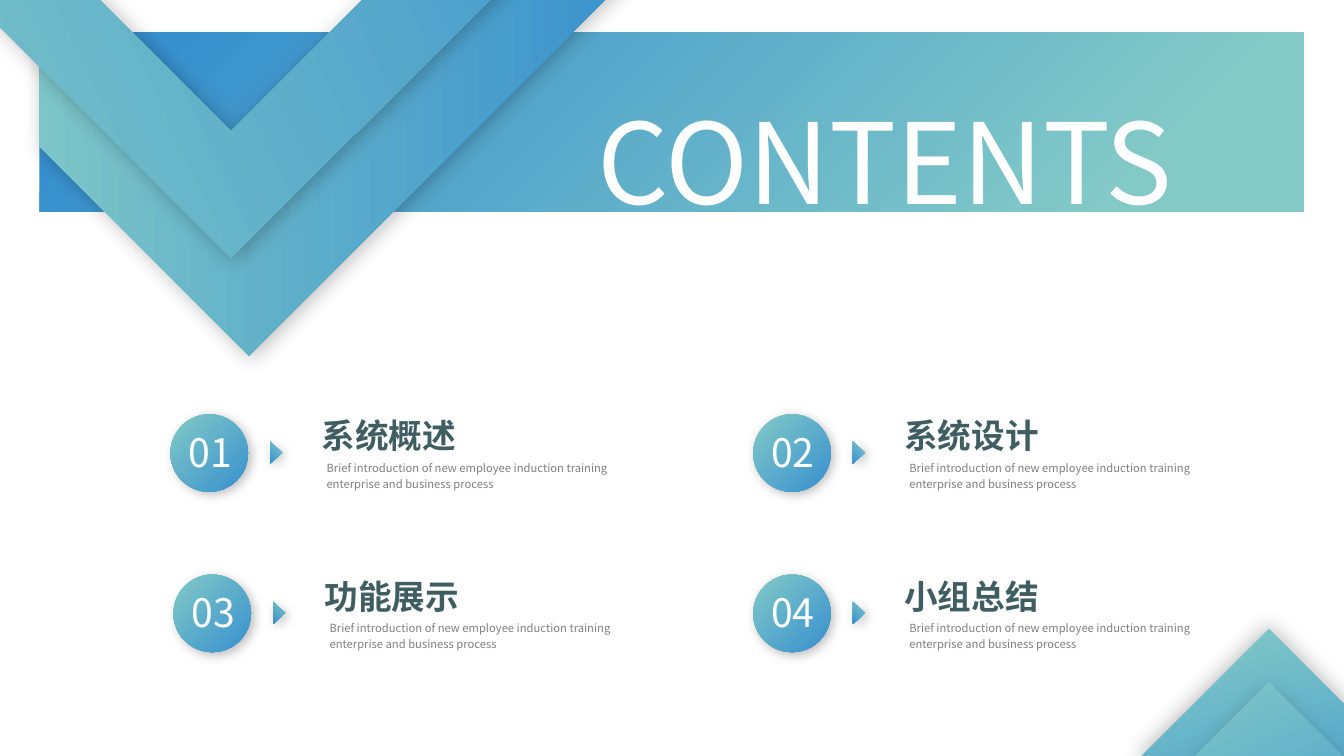
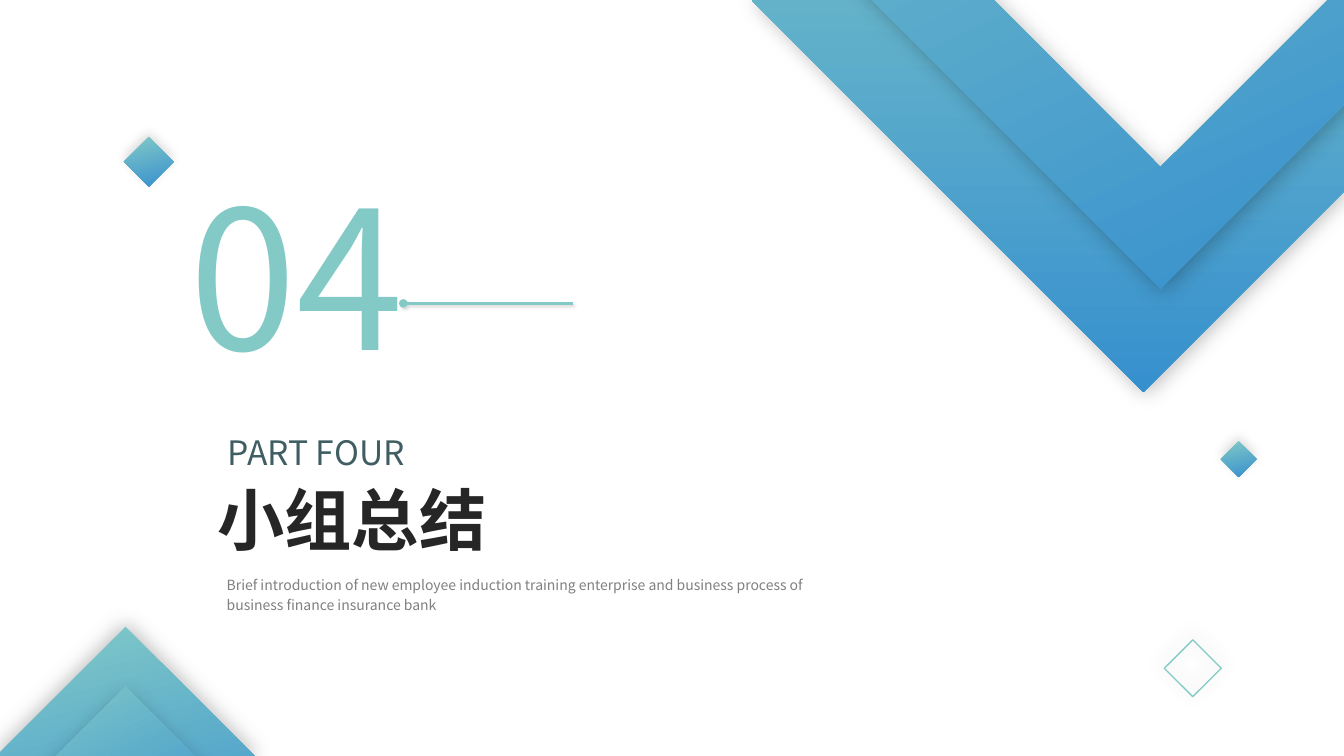
from math import cos, radians, sin

from lxml import etree
from pptx import Presentation
from pptx.dml.color import RGBColor
from pptx.enum.shapes import MSO_CONNECTOR, MSO_SHAPE
from pptx.enum.text import MSO_AUTO_SIZE, PP_ALIGN
from pptx.oxml.ns import qn
from pptx.util import Inches, Pt

RECTANGLE, OVAL, TRIANGLE = MSO_SHAPE.RECTANGLE, MSO_SHAPE.OVAL, MSO_SHAPE.ISOSCELES_TRIANGLE
STRAIGHT = MSO_CONNECTOR.STRAIGHT
LEFT, CENTER, JUSTIFY = PP_ALIGN.LEFT, PP_ALIGN.CENTER, PP_ALIGN.JUSTIFY
FIT_SHAPE = MSO_AUTO_SIZE.SHAPE_TO_FIT_TEXT

FONT = "Noto Sans CJK SC"
TEAL, BLUE, WHITE = "83CAC7", "3790CE", "FFFFFF"
SLATE, GREY, INK = "405E62", "808080", "262626"

# Shadows: opacity %, blur pt, distance pt, direction in degrees
CHEVRON_SHADOW = (25, 15, 3, 45)
ITEM_SHADOW = (25, 8, 3, 45)
PEAK_SHADOW = (25, 15, 3, 270)
PEAK_FRONT_SHADOW = (25, 15, 5, 90)
DIAMOND_SHADOW = (15, 8, 3, 270)
LINE_SHADOW = (15, 2, 2, 45)

SUMMARY = "Brief introduction of new employee induction training enterprise and business process"
CONTENTS = [
    ("01", "系统概述", 1.69, 4.11),
    ("02", "系统设计", 7.47, 4.11),
    ("03", "功能展示", 1.72, 5.7),
    ("04", "小组总结", 7.47, 5.7),
]


def colour(value):
    return RGBColor.from_string(value)


# Formatting
def set_shadow(shape, shadow):
    properties = shape.element.spPr
    effects = properties.find(qn("a:effectLst"))
    if effects is None:
        effects = etree.SubElement(properties, qn("a:effectLst"))
    if shadow is None:
        return
    opacity, blur, distance, direction = shadow
    outer = etree.SubElement(
        effects, qn("a:outerShdw"), blurRad=str(Pt(blur)), dist=str(Pt(distance)),
        dir=str(direction * 60000), rotWithShape="0")
    black = etree.SubElement(outer, qn("a:srgbClr"), val="000000")
    etree.SubElement(black, qn("a:alpha"), val=str(opacity * 1000))


def set_gradient(shape, angle, start=(0, TEAL), end=(100, BLUE)):
    shape.fill.gradient()
    shape.fill.gradient_angle = 360 - angle
    for stop, (percent, value) in zip(shape.fill.gradient_stops, (start, end)):
        stop.position = percent / 100
        stop.color.rgb = colour(value)


def finish_shape(shape, rotation, shadow):
    shape.rotation = rotation
    shape.line.fill.background()
    shape.shadow.inherit = False
    set_shadow(shape, shadow)


# Elements
def add_gradient_shape(shapes, kind, left, top, width, height, angle,
                       rotation=0, shadow=None, **stops):
    shape = shapes.add_shape(kind, Inches(left), Inches(top), Inches(width), Inches(height))
    finish_shape(shape, rotation, shadow)
    set_gradient(shape, angle, **stops)
    return shape


def add_diamond(shapes, left, top, size, shadow, angle=30, **stops):
    return add_gradient_shape(shapes, RECTANGLE, left, top, size, size, angle,
                              rotation=45, shadow=shadow, **stops)


def add_text(shapes, text, left, top, width, height, *, size, color, bold=False,
             align=LEFT, wrap=True, spacing=None, insets=None):
    box = shapes.add_textbox(Inches(left), Inches(top), Inches(width), Inches(height))
    frame = box.text_frame
    frame.word_wrap = wrap
    frame.auto_size = FIT_SHAPE
    if insets:
        frame.margin_left = frame.margin_right = Inches(insets[0])
        frame.margin_top = frame.margin_bottom = Inches(insets[1])
    paragraph = frame.paragraphs[0]
    paragraph.alignment = align
    if spacing:
        paragraph.line_spacing = spacing
    run = paragraph.add_run()
    run.text = text
    run.font.size = Pt(size)
    run.font.bold = bold
    run.font.color.rgb = colour(color)
    run.font.name = FONT
    etree.SubElement(run.font._element, qn("a:ea"), typeface=FONT)


def rotate(point, degrees):
    x, y = point
    turn = radians(degrees)
    return x * cos(turn) - y * sin(turn), x * sin(turn) + y * cos(turn)


def add_chevron(shapes, points, rotation, angle, blue_at=100):
    """Draw the outline turned back, so that the gradient turns with the shape."""
    flat = [rotate(point, -rotation) for point in points]
    middle = tuple((min(axis) + max(axis)) / 2 for axis in zip(*flat))
    center = rotate(middle, rotation)
    vertices = [
        (Inches(x + center[0] - middle[0]), Inches(y + center[1] - middle[1]))
        for x, y in flat
    ]
    builder = shapes.build_freeform(*vertices[0])
    builder.add_line_segments(vertices[1:], close=True)
    shape = builder.convert_to_shape()
    finish_shape(shape, rotation, CHEVRON_SHADOW)
    set_gradient(shape, angle, end=(blue_at, BLUE))


def add_chevron_pair(slide, back, front, rotation):
    shapes = slide.shapes.add_group_shape().shapes
    add_chevron(shapes, back, rotation, 45)
    add_chevron(shapes, front, rotation, 20, blue_at=93)


def add_corner_peak(slide, left, back_top, front_top, front_blue_at=100):
    shapes = slide.shapes.add_group_shape().shapes
    add_diamond(shapes, left, back_top, 1.83, PEAK_SHADOW)
    add_diamond(shapes, left, front_top, 1.83, PEAK_FRONT_SHADOW, angle=20,
                end=(front_blue_at, BLUE))


def add_contents_item(slide, number, title, left, top):
    shapes = slide.shapes.add_group_shape().shapes
    add_text(shapes, title, left + 1.4, top - 0.04, 1.55, 0.5,
             size=24, color=SLATE, bold=True, wrap=False)
    add_text(shapes, SUMMARY, left + 1.45, top + 0.39, 3.18, 0.41,
             size=8, color=GREY, spacing=1.2)
    add_gradient_shape(shapes, OVAL, left, top, 0.77, 0.77, 45, shadow=ITEM_SHADOW)
    add_text(shapes, number, left + 0.09, top + 0.1, 0.61, 0.55, size=28, color=WHITE,
             align=CENTER, wrap=False, insets=(0.07, 0.04))
    add_gradient_shape(shapes, TRIANGLE, left + 0.94, top + 0.32, 0.22, 0.12, 45,
                       rotation=90, shadow=ITEM_SHADOW)


def add_dotted_end_line(slide, left, right, y):
    line = slide.shapes.add_connector(
        STRAIGHT, Inches(left), Inches(y), Inches(right), Inches(y))
    line.line.color.rgb = colour(TEAL)
    line.line.width = Pt(2)
    etree.SubElement(line.element.spPr.find(qn("a:ln")), qn("a:headEnd"), type="oval")
    set_shadow(line, LINE_SHADOW)


# Slides
def build_contents(slide):
    shapes = slide.shapes
    add_gradient_shape(shapes, RECTANGLE, 0.39, 0.32, 12.54, 1.78, 45,
                       start=(9, BLUE), end=(87, TEAL))
    add_chevron_pair(
        slide,
        [(2.47, 3.53), (6.53, -0.53), (5.9, -1.16), (2.47, 2.26), (0.39, 0.18), (0.39, 1.45)],
        [(2.29, 2.56), (6.35, -1.49), (5.72, -2.12), (2.29, 1.3), (-1.13, -2.12),
         (-1.76, -1.49)],
        rotation=315)
    add_corner_peak(slide, 11.67, 6.62, 7.15)
    add_text(shapes, "CONTENTS", 5.83, 0.87, 7.25, 1.45, size=80, color=WHITE, align=JUSTIFY)
    for item in CONTENTS:
        add_contents_item(slide, *item)


def build_part_four(slide):
    shapes = slide.shapes
    # Heading
    add_text(shapes, SUMMARY + " of business finance insurance bank", 2.15, 5.64, 5.99, 0.48,
             size=10, color=GREY, spacing=1.2)
    add_text(shapes, "小组总结", 2.06, 4.7, 5.33, 0.91, size=48, color=INK, bold=True)
    add_text(shapes, "PART FOUR", 2.16, 4.24, 3.33, 0.5, size=24, color=SLATE)
    add_text(shapes, "04", 1.25, 1.51, 3.39, 2.42, size=138, color=TEAL, align=CENTER)
    # Decoration
    add_chevron_pair(
        slide,
        [(11.34, 3.89), (7.46, 0.01), (8.07, -0.6), (11.34, 2.68), (13.33, 0.69), (13.33, 1.9)],
        [(11.51, 2.86), (7.63, -1.02), (8.24, -1.62), (11.51, 1.66), (14.79, -1.62),
         (15.39, -1.02)],
        rotation=45)
    add_corner_peak(slide, 0.33, 6.6, 7.19, front_blue_at=72)
    add_diamond(shapes, 12.16, 4.43, 0.25, DIAMOND_SHADOW)
    outline = add_diamond(shapes, 11.63, 6.43, 0.4, PEAK_SHADOW)
    outline.fill.background()
    outline.line.color.rgb = colour(TEAL)
    outline.line.width = Pt(1)
    add_dotted_end_line(slide, 4, 5.68, 3.01)
    add_diamond(shapes, 1.3, 1.43, 0.35, DIAMOND_SHADOW)


def main():
    presentation = Presentation()
    presentation.slide_width = Inches(13.33)
    presentation.slide_height = Inches(7.5)
    blank = presentation.slide_layouts[6]
    for build in (build_contents, build_part_four):
        build(presentation.slides.add_slide(blank))
    presentation.save("out.pptx")


if __name__ == "__main__":
    main()
